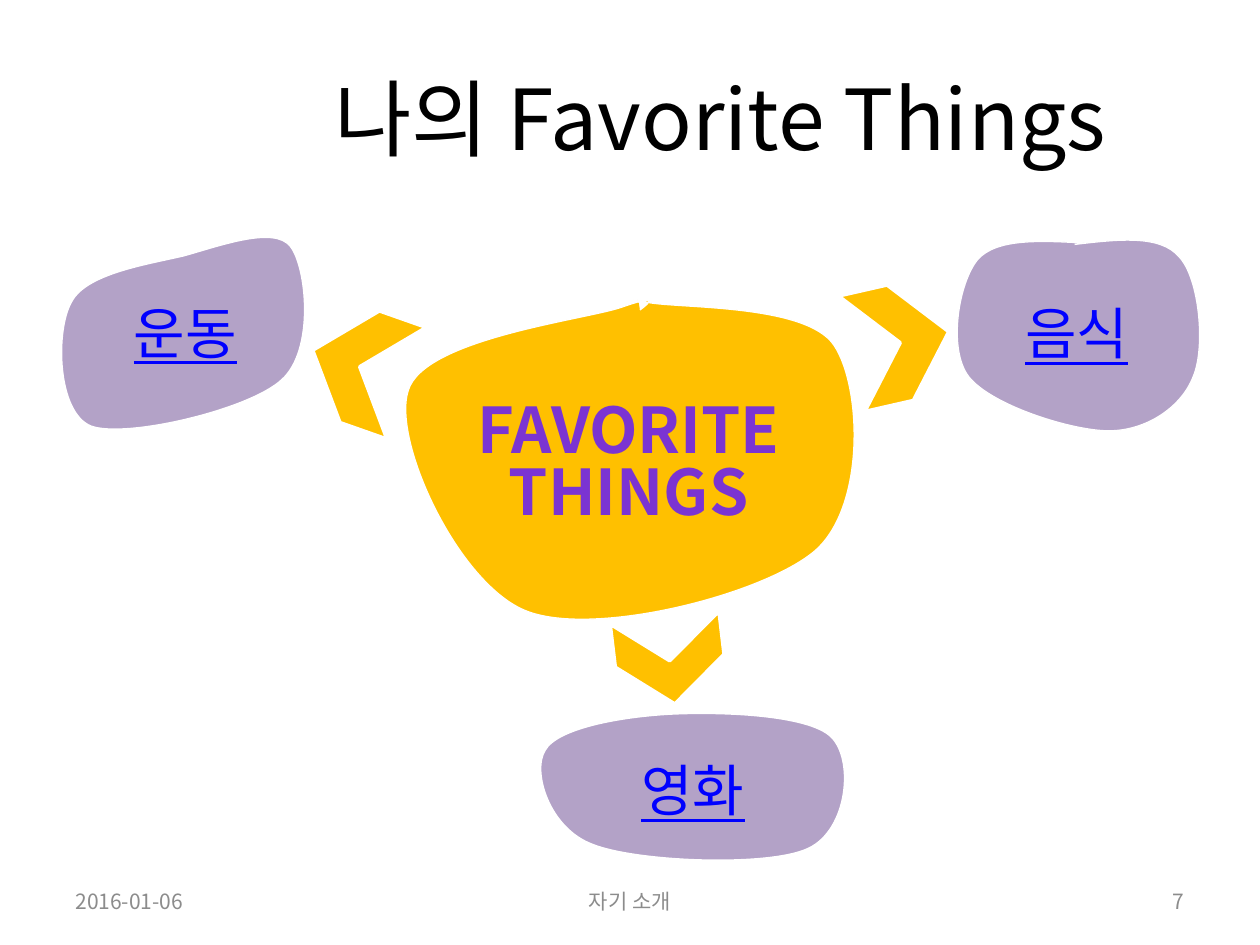
from pptx import Presentation
from pptx.dml.color import RGBColor
from pptx.enum.shapes import MSO_SHAPE
from pptx.enum.text import MSO_ANCHOR, PP_ALIGN
from pptx.oxml.ns import qn
from pptx.oxml.xmlchemy import OxmlElement
from pptx.util import Pt

LEFT, CENTER, RIGHT = PP_ALIGN.LEFT, PP_ALIGN.CENTER, PP_ALIGN.RIGHT
MIDDLE = MSO_ANCHOR.MIDDLE
CHEVRON = MSO_SHAPE.CHEVRON

FONT = "Noto Sans CJK KR"
BLACK = RGBColor(0x00, 0x00, 0x00)
WHITE = RGBColor(0xFF, 0xFF, 0xFF)
GRAY = RGBColor(0x8C, 0x8C, 0x8C)
GOLD = RGBColor(0xFF, 0xC0, 0x00)
LILAC = RGBColor(0xB3, 0xA2, 0xC7)
PURPLE = RGBColor(0x7B, 0x34, 0xD2)
BLUE = RGBColor(0x00, 0x00, 0xFF)

CORE_OUTLINE = [
    (141.8, 9.4), (147.6, 5), (153.4, 0), (131, 7.9),
    (109.4, 15.1), (18, 25.9), (9.4, 55.4),
    (0, 84.2), (38.2, 166.3), (77, 181.4),
    (115.9, 196.6), (212.4, 172.1), (241.9, 146.9),
    (270.7, 121.7), (268.6, 53.3), (252.7, 29.5),
    (236.9, 5.8), (164.2, 8.6), (146.2, 5),
    (128.2, 0.7), (145.4, 5), (145.4, 5), (141.1, 5),
]
SPORT_OUTLINE = [
    (74.2, 17.3), (53.3, 22.3), (18, 27.4), (9.4, 43.9),
    (0, 59.8), (0.7, 108), (20.9, 115.9),
    (41, 123.1), (111.6, 106.6), (130.3, 89.3),
    (149.8, 72), (144.7, 23.8), (135.4, 12.2),
    (126, 0), (95, 11.5), (74.2, 17.3),
]
FOOD_OUTLINE = [
    (78.5, 5), (53.3, 3.6), (28.1, 2.2), (17.3, 14.4),
    (6.5, 27.4), (0, 65.5), (12.2, 81.4),
    (25.2, 97.9), (71.3, 112.3), (92.2, 112.3),
    (113.8, 112.3), (133.9, 98.6), (140.4, 81.4),
    (147.6, 64.8), (144, 25.2), (132.5, 13),
    (121.7, 0), (97.2, 2.9), (72.7, 5.8),
]
MOVIE_OUTLINE = [
    (79.9, 1.4), (51.8, 2.9), (15.1, 9.4), (7.9, 22.3),
    (0, 34.6), (10.1, 67.7), (35.3, 77),
    (60.5, 87.1), (136.8, 90), (159.1, 79.2),
    (182.2, 68.4), (185.8, 27.4), (172.1, 14.4),
    (158.4, 1.4), (107.3, 0), (79.9, 1.4),
]


def write_text(shape, text, size, color, align=CENTER, bold=False, underline=False, spacing=None):
    frame = shape.text_frame
    frame.word_wrap = True
    frame.vertical_anchor = MIDDLE
    paragraph = frame.paragraphs[0]
    paragraph.alignment = align
    if spacing:
        paragraph.line_spacing = spacing
    run = paragraph.add_run()
    run.text = text
    font = run.font
    font.name = FONT
    font.size = Pt(size)
    font.bold = bold
    font.underline = underline
    font.color.rgb = color
    east_asian = OxmlElement("a:ea")
    east_asian.set("typeface", FONT)
    font._element.append(east_asian)


def paint(shape, fill, line_width):
    shape.shadow.inherit = False
    shape.fill.solid()
    shape.fill.fore_color.rgb = fill
    shape.line.color.rgb = WHITE
    shape.line.width = Pt(line_width)


def add_blob(slide, left, top, outline, fill, line_width, closed):
    points = [(Pt(left + x), Pt(top + y)) for x, y in outline]
    builder = slide.shapes.build_freeform(*points[0])
    builder.add_line_segments(points[1:], close=closed)
    shape = builder.convert_to_shape()
    segments = list(shape._element.iter(qn("a:lnTo")))
    for start in range(0, len(segments) - 2, 3):
        curve = OxmlElement("a:cubicBezTo")
        segments[start].addprevious(curve)
        for segment in segments[start:start + 3]:
            curve.append(segment[0])
            segment.getparent().remove(segment)
    paint(shape, fill, line_width)
    return shape


def add_title(slide, left, top, width, height):
    title = slide.shapes.title
    title.left, title.top, title.width, title.height = map(Pt, (left, top, width, height))
    write_text(title, "나의 Favorite Things", 48, BLACK)


def add_footer(slide, left, top, width, height):
    side_width = 168
    middle_width = 228
    for text, offset, part_width, align in (
        ("2016-01-06", 0, side_width, LEFT),
        ("자기 소개", (width - middle_width) / 2, middle_width, CENTER),
        ("7", width - side_width, side_width, RIGHT),
    ):
        box = slide.shapes.add_textbox(Pt(left + offset), Pt(top), Pt(part_width), Pt(height))
        write_text(box, text, 12, GRAY, align=align)


def add_core(slide, left, top):
    core = add_blob(slide, left, top, CORE_OUTLINE, GOLD, 0.75, closed=False)
    write_text(core, "FAVORITE THINGS", 36, PURPLE, bold=True, spacing=0.82)


def add_topic(slide, left, top, text, outline, line_width=2, closed=True):
    topic = add_blob(slide, left, top, outline, LILAC, line_width, closed)
    write_text(topic, text, 32, BLUE, underline=True)


def add_arrow(slide, left, top, width, height, rotation):
    arrow = slide.shapes.add_shape(CHEVRON, Pt(left), Pt(top), Pt(width), Pt(height))
    arrow.rotation = rotation
    paint(arrow, GOLD, 2)


def main():
    presentation = Presentation()
    presentation.slide_width = Pt(720)
    presentation.slide_height = Pt(540)
    slide = presentation.slides.add_slide(presentation.slide_layouts[5])
    add_title(slide, 139, 21.6, 545, 90)
    add_footer(slide, 36, 500.5, 648, 28.8)
    add_core(slide, 223.9, 167.8)
    add_topic(slide, 31, 128.2, "운동", SPORT_OUTLINE)
    add_topic(slide, 541.4, 133.9, "음식", FOOD_OUTLINE, line_width=0.75, closed=False)
    add_topic(slide, 303.1, 406.1, "영화", MOVIE_OUTLINE)
    add_arrow(slide, 177.1, 175.7, 56.9, 67.7, 199.4)
    add_arrow(slide, 357.8, 346.3, 49.7, 62.6, 83.2)
    add_arrow(slide, 486, 162, 56.9, 67.7, 347.2)
    presentation.save("out.pptx")


if __name__ == "__main__":
    main()
